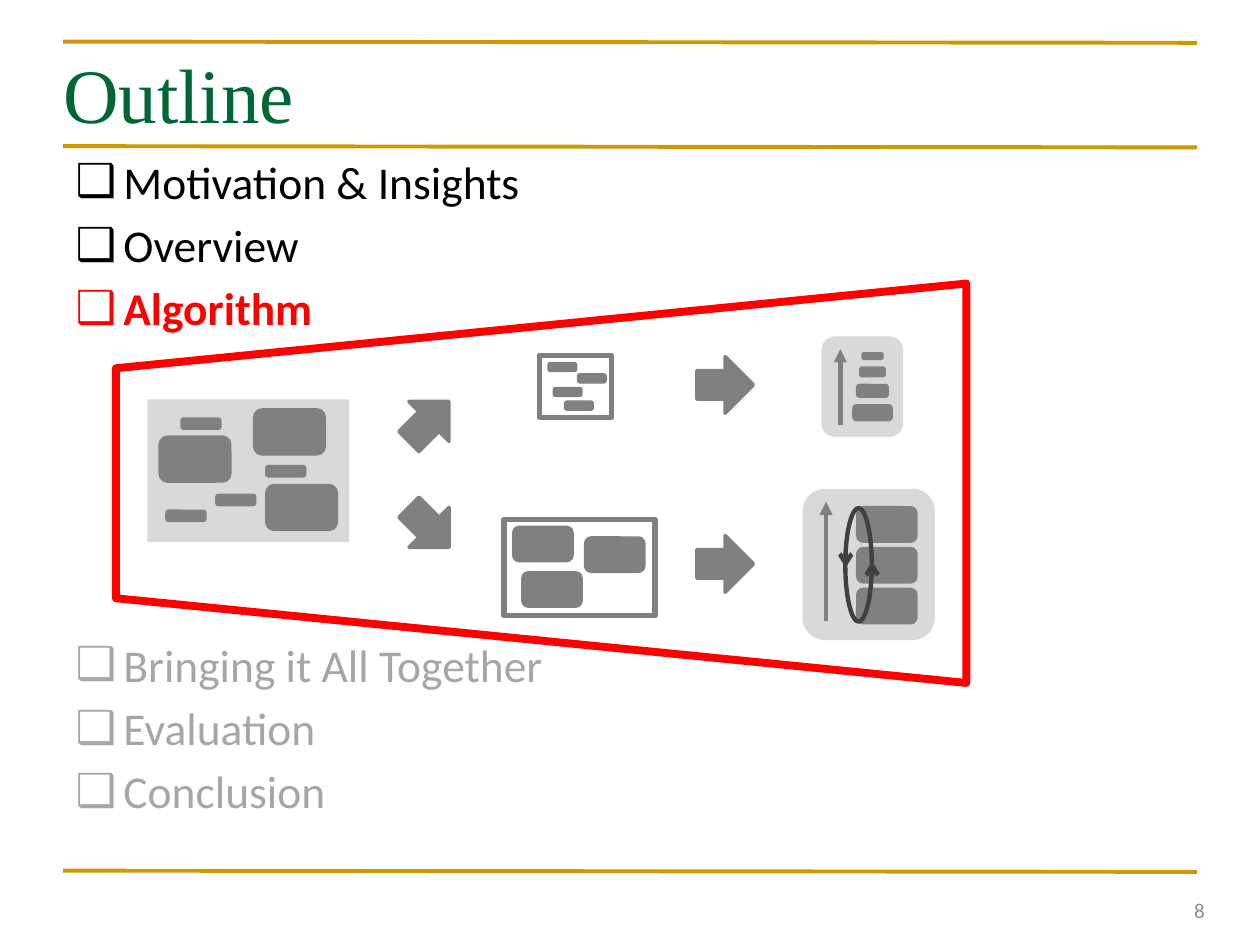
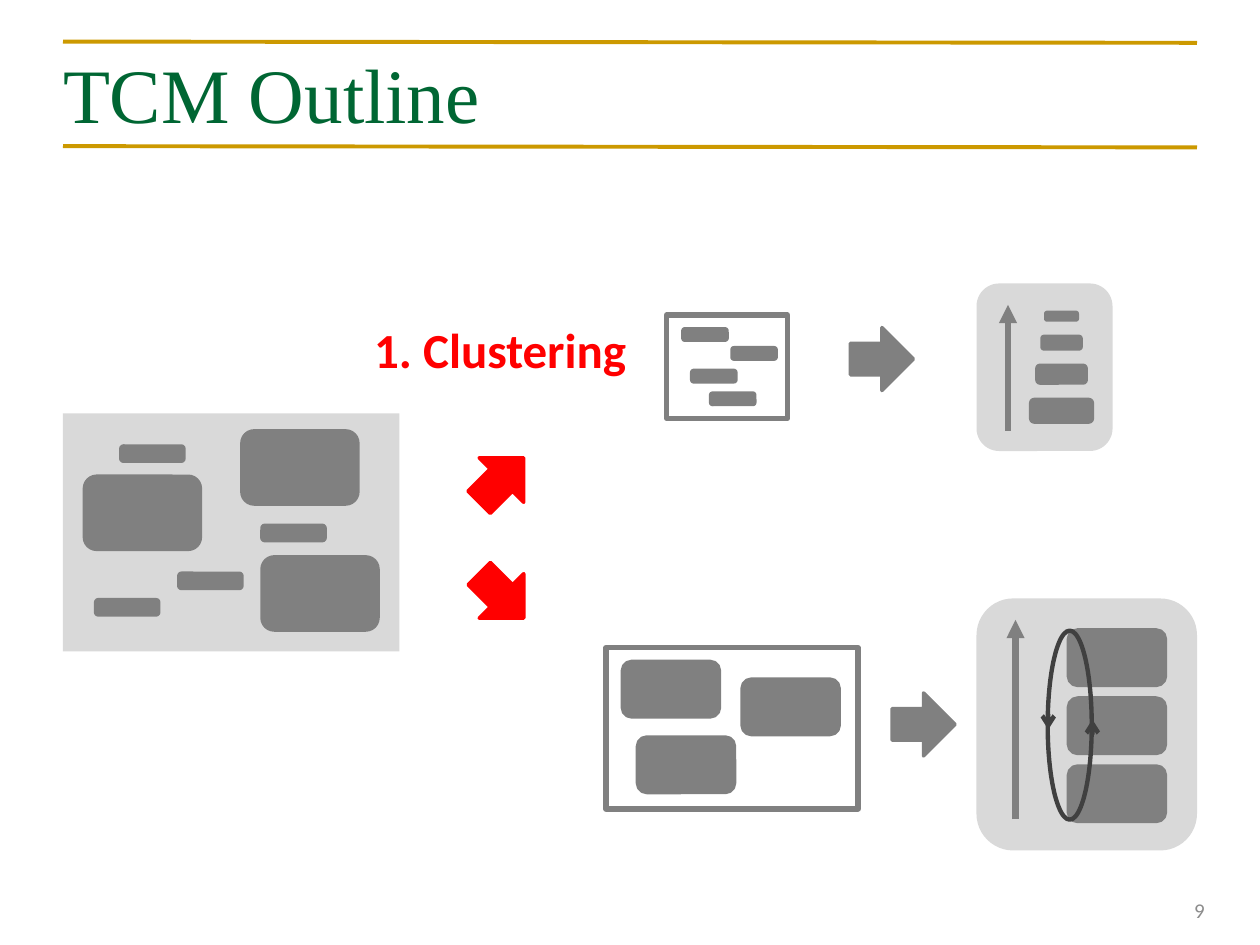
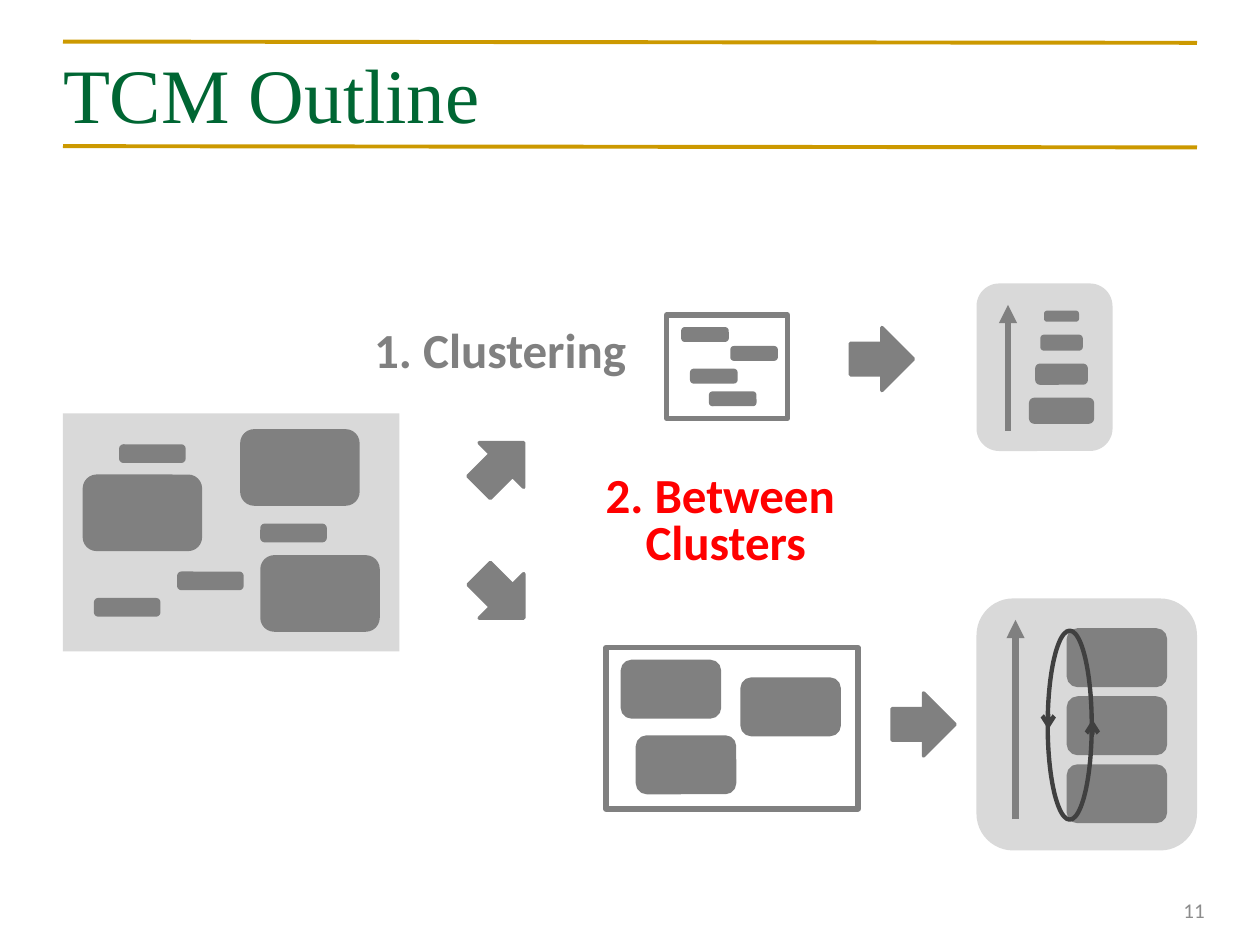
from dataclasses import dataclass
from typing import NamedTuple

from lxml import etree
from pptx import Presentation
from pptx.dml.color import RGBColor
from pptx.enum.shapes import MSO_CONNECTOR, MSO_SHAPE
from pptx.enum.text import MSO_ANCHOR, MSO_AUTO_SIZE, PP_ALIGN
from pptx.oxml.ns import qn
from pptx.util import Inches, Pt

# Shared look
GOLD, GREEN, RED = "CC9900", "006633", "FF0000"
BLACK, DARK, GRAY, PALE = "000000", "404040", "808080", "D9D9D9"
FADED, NUMBER_GRAY = "A6A6A6", "8C8C8C"
TITLE_FONT, TEXT_FONT = "Times New Roman", "Calibri"
TITLE_ONLY, TITLE_AND_BODY = 5, 1


class Box(NamedTuple):
    left: float
    top: float
    width: float
    height: float


class Stroke(NamedTuple):
    """A straight line with an optional arrowhead at its end."""
    x1: float
    y1: float
    x2: float
    y2: float
    color: str
    head: str = ""


@dataclass(frozen=True)
class Panel:
    """A frame with blocks, measured from the frame's top left corner."""
    width: float
    height: float
    blocks: list[Box]
    rounded: bool = False
    outlined: bool = False
    axis: Stroke | None = None
    loop: Box | None = None
    loop_heads: tuple[Stroke, ...] = ()


@dataclass(frozen=True)
class BlockArrow:
    left: float
    top: float
    size: float
    rotation: float = 0
    color: str = GRAY


@dataclass(frozen=True)
class Label:
    box: Box
    lines: list[str]
    color: str


@dataclass(frozen=True)
class Diagram:
    """Where each panel starts, and how large everything is drawn."""
    scale: float
    axis_weight: float
    origins: dict[str, tuple[float, float]]


# Diagram parts at full size
PANELS = {
    "all tasks": Panel(2.67, 1.89, [
        *(Box(x, y, 0.5, 0.12) for x, y in
          [(0.92, 1.27), (0.46, 0.26), (1.58, 0.89), (0.26, 1.48)]),
        *(Box(x, y, 0.92, 0.58) for x, y in
          [(1.58, 1.14), (0.17, 0.5), (1.42, 0.14)]),
    ]),
    "light cluster": Panel(0.96, 0.82, [
        Box(x, y, 0.35, 0.09) for x, y in
        [(0.13, 0.11), (0.2, 0.44), (0.52, 0.26), (0.35, 0.62)]
    ], outlined=True),
    "heavy cluster": Panel(2, 1.28, [
        Box(x, y, 0.77, 0.44) for x, y in
        [(0.13, 0.11), (1.08, 0.25), (0.25, 0.71)]
    ], outlined=True),
    "light ranking": Panel(1.08, 1.33, [
        Box(0.55, 0.23, 0.25, 0.06), Box(0.52, 0.42, 0.31, 0.1),
        Box(0.48, 0.65, 0.39, 0.14), Box(0.43, 0.92, 0.49, 0.18),
    ], rounded=True, axis=Stroke(0.25, 1.17, 0.25, 0.17, GRAY, "triangle")),
    "heavy ranking": Panel(
        1.75, 2, [Box(0.73, 0.25 + 0.54 * row, 0.77, 0.44) for row in range(3)],
        rounded=True,
        axis=Stroke(0.31, 1.75, 0.31, 0.17, GRAY, "triangle"),
        loop=Box(-0.01, 0.83, 1.5, 0.35),
        loop_heads=(Stroke(0.57, 0.96, 0.57, 1.04, DARK, "arrow"),
                    Stroke(0.92, 1.04, 0.92, 0.96, DARK, "arrow"))),
}

SMALL = Diagram(0.6, 2.5, {
    "all tasks": (1.17, 3.17), "light cluster": (4.28, 2.82),
    "heavy cluster": (4, 4.12), "light ranking": (6.52, 2.67),
    "heavy ranking": (6.37, 3.88)})
LARGE = Diagram(1, 3.5, {
    "all tasks": (0.5, 3.28), "light cluster": (5.29, 2.5),
    "heavy cluster": (4.81, 5.14), "light ranking": (7.75, 2.25),
    "heavy ranking": (7.75, 4.75)})

CLUSTERING = Box(2.85, 2.58, 2.24, 0.49)
BETWEEN = Box(4.69, 3.73, 2.14, 0.85)


def rgb(color: str) -> RGBColor:
    return RGBColor.from_string(color)


def style_runs(para, size: float, color: str, font: str = TEXT_FONT,
               bold: bool = False) -> None:
    for span in para.runs:
        span.font.name = font
        span.font.size = Pt(size)
        span.font.bold = bold
        span.font.color.rgb = rgb(color)


def place(shape, box: Box) -> None:
    shape.left, shape.top, shape.width, shape.height = map(Inches, box)


def draw_shape(shapes, kind, box: Box, fill: str = "", line: str = "",
               weight: float = 2, rotation: float = 0):
    shape = shapes.add_shape(kind, *map(Inches, box))
    shape.shadow.inherit = False
    shape.rotation = rotation
    if fill:
        shape.fill.solid()
        shape.fill.fore_color.rgb = rgb(fill)
    else:
        shape.fill.background()
    if line:
        shape.line.color.rgb = rgb(line)
        shape.line.width = Pt(weight)
    else:
        shape.line.fill.background()
    return shape


def draw_stroke(shapes, stroke: Stroke, weight: float) -> None:
    ends = map(Inches, stroke[:4])
    connector = shapes.add_connector(MSO_CONNECTOR.STRAIGHT, *ends)
    connector.line.color.rgb = rgb(stroke.color)
    connector.line.width = Pt(weight)
    if stroke.head:
        line = connector.line._get_or_add_ln()
        etree.SubElement(line, qn("a:tailEnd")).set("type", stroke.head)
    etree.SubElement(connector._element.spPr, qn("a:effectLst"))


def draw_panel(page, panel: Panel, origin: tuple[float, float],
               diagram: Diagram) -> None:
    left, top = origin
    scale = diagram.scale

    def put(box: Box) -> Box:
        return Box(left + box.left * scale, top + box.top * scale,
                   box.width * scale, box.height * scale)

    def put_stroke(stroke: Stroke) -> Stroke:
        return stroke._replace(
            x1=left + stroke.x1 * scale, y1=top + stroke.y1 * scale,
            x2=left + stroke.x2 * scale, y2=top + stroke.y2 * scale)

    shapes = page.shapes.add_group_shape().shapes if panel.outlined else page.shapes
    frame = put(Box(0, 0, panel.width, panel.height))
    kind = MSO_SHAPE.ROUNDED_RECTANGLE if panel.rounded else MSO_SHAPE.RECTANGLE
    if panel.outlined:
        draw_shape(shapes, kind, frame, line=GRAY, weight=3)
    else:
        draw_shape(shapes, kind, frame, fill=PALE)
    for block in panel.blocks:
        draw_shape(shapes, MSO_SHAPE.ROUNDED_RECTANGLE, put(block), GRAY, GRAY)
    if panel.axis:
        draw_stroke(shapes, put_stroke(panel.axis), diagram.axis_weight)
    if panel.loop:
        draw_shape(shapes, MSO_SHAPE.OVAL, put(panel.loop), line=DARK,
                   weight=2.5, rotation=270)
    for head in panel.loop_heads:
        draw_stroke(shapes, put_stroke(head), 2.5)


def draw_diagram(page, diagram: Diagram, arrows: list[BlockArrow]) -> None:
    for name, panel in PANELS.items():
        draw_panel(page, panel, diagram.origins[name], diagram)
    for arrow in arrows:
        box = Box(arrow.left, arrow.top, arrow.size, arrow.size)
        draw_shape(page.shapes, MSO_SHAPE.RIGHT_ARROW, box, arrow.color,
                   arrow.color, rotation=arrow.rotation)


def draw_label(page, label: Label) -> None:
    box = page.shapes.add_textbox(*map(Inches, label.box))
    frame = box.text_frame
    frame.word_wrap = False
    frame.auto_size = MSO_AUTO_SIZE.SHAPE_TO_FIT_TEXT
    frame.text = "\n".join(label.lines)
    for para in frame.paragraphs:
        para.alignment = PP_ALIGN.CENTER
        para.line_spacing = 0.8
        style_runs(para, 28, label.color, bold=True)


def add_page(deck, layout: int, title: str, number: int, rules: list[float]):
    """Add a slide with its title, gold rules and page number."""
    page = deck.slides.add_slide(deck.slide_layouts[layout])
    heading = page.shapes.title
    place(heading, Box(0.5, 0.3, 9, 0.87))
    frame = heading.text_frame
    frame.text = title
    frame.vertical_anchor = MSO_ANCHOR.MIDDLE
    frame.auto_size = MSO_AUTO_SIZE.NONE
    frame.margin_left = frame.margin_right = 0
    frame.paragraphs[0].alignment = PP_ALIGN.LEFT
    style_runs(frame.paragraphs[0], 44, GREEN, TITLE_FONT)

    for top in rules:
        draw_stroke(page.shapes, Stroke(0.5, top, 9.5, top + 0.01, GOLD), 2.25)

    box = page.shapes.add_textbox(*map(Inches, Box(7.33, 7.02, 2.33, 0.4)))
    box.text_frame.word_wrap = True
    box.text_frame.vertical_anchor = MSO_ANCHOR.MIDDLE
    box.text_frame.text = str(number)
    para = box.text_frame.paragraphs[0]
    para.alignment = PP_ALIGN.RIGHT
    style_runs(para, 12, NUMBER_GRAY)
    return page


def fill_agenda(page, topics: list[str], current: int) -> None:
    """List the topics, leaving room for a diagram below the current one."""
    body = page.placeholders[1]
    place(body, Box(0.5, 1.17, 9, 5.75))
    frame = body.text_frame
    frame.auto_size = MSO_AUTO_SIZE.NONE
    frame.text = "\n".join(topics)
    for index, para in enumerate(frame.paragraphs):
        para.space_before = Pt(172.5 if index == current + 1 else 5)
        color = RED if index == current else BLACK if index < current else FADED
        style_runs(para, 26, color, bold=index == current)
        properties = para._p.get_or_add_pPr()
        properties.set("marL", str(Inches(0.38)))
        properties.set("indent", str(Inches(-0.38)))
        etree.SubElement(properties, qn("a:buChar")).set("char", "❑")


def build_agenda(deck) -> None:
    page = add_page(deck, TITLE_AND_BODY, "Outline", 8, [0.33, 1.16, 6.91])
    fill_agenda(page, ["Motivation & Insights", "Overview", "Algorithm",
                       "Bringing it All Together", "Evaluation", "Conclusion"], 2)
    draw_diagram(page, SMALL, [
        BlockArrow(3.18, 3.12, 0.45, 315), BlockArrow(3.18, 3.96, 0.45, 45),
        BlockArrow(5.53, 2.83, 0.45), BlockArrow(5.53, 4.25, 0.45)])
    # Red outline around the diagram
    outline = draw_shape(page.shapes, MSO_SHAPE.TRAPEZOID,
                         Box(2.71, 0.46, 3.17, 6.75), line=RED, weight=4.5,
                         rotation=270)
    outline.adjustments[0] = 0.212


def build_step(deck, number: int, split_color: str, split_top: float,
               labels: list[Label]) -> None:
    page = add_page(deck, TITLE_ONLY, "TCM Outline", number, [0.33, 1.16])
    draw_diagram(page, LARGE, [
        BlockArrow(3.73, split_top, 0.5, 315, split_color),
        BlockArrow(3.73, 4.48, 0.5, 45, split_color),
        BlockArrow(6.75, 2.6, 0.5), BlockArrow(7.08, 5.5, 0.5)])
    for label in labels:
        draw_label(page, label)


def main() -> None:
    deck = Presentation()
    deck.slide_width, deck.slide_height = Inches(10), Inches(7.5)
    build_agenda(deck)
    build_step(deck, 9, RED, 3.56, [Label(CLUSTERING, ["1. Clustering"], RED)])
    build_step(deck, 11, GRAY, 3.44, [
        Label(CLUSTERING, ["1. Clustering"], GRAY),
        Label(BETWEEN, ["2. Between ", "Clusters"], RED)])
    deck.save("out.pptx")


if __name__ == "__main__":
    main()
